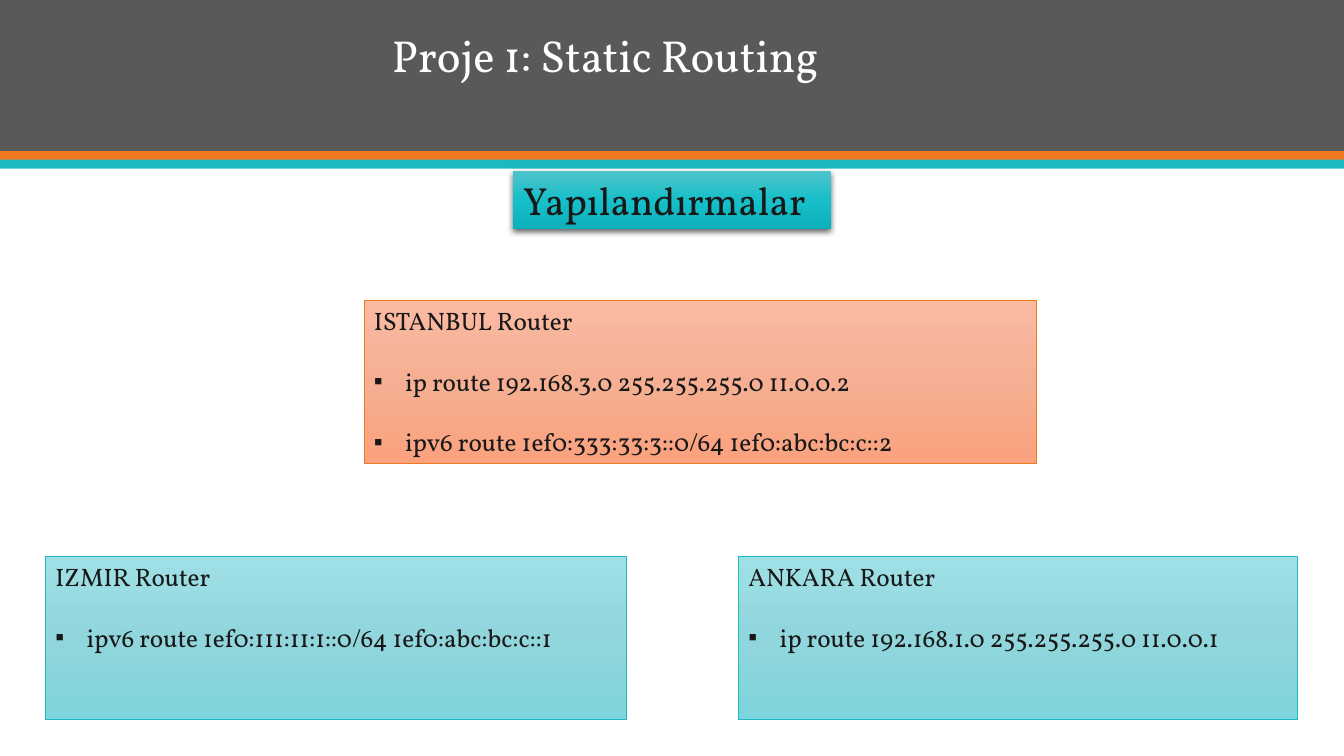
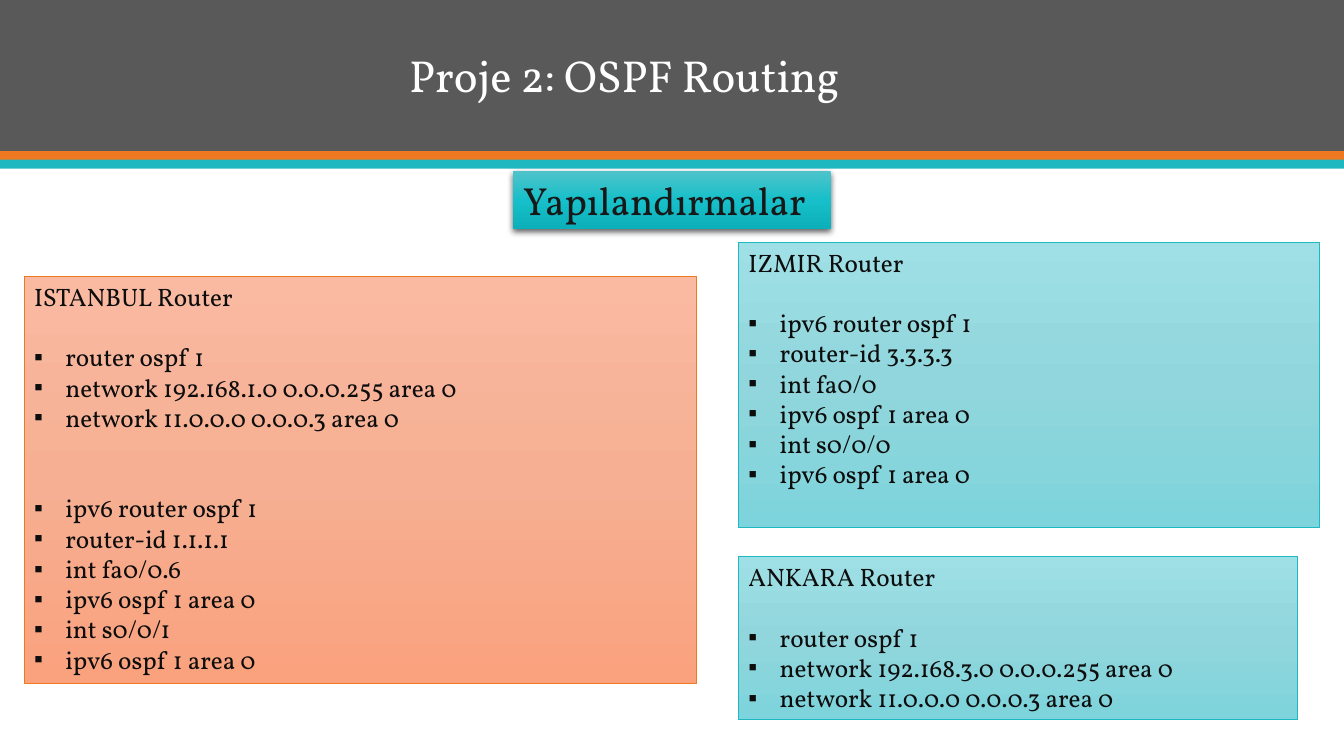
from lxml.etree import SubElement
from pptx import Presentation
from pptx.dml.color import RGBColor
from pptx.enum.shapes import MSO_SHAPE
from pptx.enum.text import MSO_ANCHOR, PP_ALIGN
from pptx.oxml.ns import qn
from pptx.util import Inches, Pt

FONT = "Vollkorn"
WIDTH, HEIGHT = Inches(13.33), Inches(7.5)
LINE_PITCH = 21.6
INDENT = Inches(0.31)

COLORS = {
    "header": "595959",
    "orange": "EF7920",
    "teal": "1EB8C1",
    "white": "FFFFFF",
    "ink": "181818",
    "dark": "0D0D0D",
    "shadow": "000000",
}
GRADIENTS = {
    "tag": ("4EC3CB", "16BFC9", "0CB0BA"),
    "teal": ("9EE0E6", "91D6DC", "7DD4DC"),
    "orange": ("F9BAA1", "F6AF93", "FAA27E"),
}
BANDS = [("header", 0, 20), ("orange", 20, 1.2), ("teal", 21.1, 1.2)]

ISTANBUL_WIDTH, IZMIR_WIDTH, ANKARA_WIDTH = 50, 43.2, 41.6
RIGHT_COL, BOTTOM_ROW, LOW = 54.95, 73.6, 21.6

OSPF_V6 = "ipv6 ospf 1 area 0"
OSPF_LINK = "network 11.0.0.0 0.0.0.3 area 0"

SLIDES = [
    {
        "title": ("Proje 1: Static Routing", 28.43, 11.47),
        "text": "ink",
        "panels": [
            ("ANKARA Router", "teal", (RIGHT_COL, BOTTOM_ROW, ANKARA_WIDTH, LOW),
             [(1, ["ip route 192.168.1.0 255.255.255.0 11.0.0.1"])]),
            ("ISTANBUL Router", "orange", (27.08, 39.73, ISTANBUL_WIDTH, LOW),
             [(1, ["ip route 192.168.3.0 255.255.255.0 11.0.0.2"]),
              (1, ["ipv6 route 1ef0:333:33:3::0/64 1ef0:abc:bc:c::2"])]),
            ("IZMIR Router", "teal", (3.38, BOTTOM_ROW, IZMIR_WIDTH, LOW),
             [(1, ["ipv6 route 1ef0:111:11:1::0/64 1ef0:abc:bc:c::1"])]),
        ],
    },
    {
        "title": ("Proje 2: OSPF Routing", 29.7, 14.13),
        "text": "dark",
        "panels": [
            ("ANKARA Router", "teal", (RIGHT_COL, BOTTOM_ROW, ANKARA_WIDTH, LOW),
             [(1, ["router ospf 1", "network 192.168.3.0 0.0.0.255 area 0", OSPF_LINK])]),
            ("ISTANBUL Router", "orange", (1.8, 36.53, ISTANBUL_WIDTH, 53.87),
             [(1, ["router ospf 1", "network 192.168.1.0 0.0.0.255 area 0", OSPF_LINK]),
              (2, ["ipv6 router ospf 1", "router-id 1.1.1.1", "int fa0/0.6", OSPF_V6,
                   "int s0/0/1", OSPF_V6])]),
            ("IZMIR Router", "teal", (RIGHT_COL, 32, IZMIR_WIDTH, 37.73),
             [(1, ["ipv6 router ospf 1", "router-id 3.3.3.3", "int fa0/0", OSPF_V6,
                   "int s0/0/0", OSPF_V6])]),
        ],
    },
]


def rgb(name):
    return RGBColor.from_string(COLORS[name])


def place(x, y, w, h):
    return [int(size * share / 100) for size, share in
            ((WIDTH, x), (HEIGHT, y), (WIDTH, w), (HEIGHT, h))]


def add_rect(slide, area):
    sp = slide.shapes.add_shape(MSO_SHAPE.RECTANGLE, *place(*area))
    sp.shadow.inherit = False
    sp.line.fill.background()
    tf = sp.text_frame
    tf.word_wrap = True
    tf.vertical_anchor = MSO_ANCHOR.TOP
    return sp


def fill_gradient(sp, name):
    sp.fill.gradient()
    sp.fill.gradient_angle = 270
    stops = sp._element.spPr.find(".//" + qn("a:gsLst"))
    stops.clear()
    for i, color in enumerate(GRADIENTS[name]):
        stop = SubElement(stops, qn("a:gs"), pos=str(i * 50000))
        SubElement(stop, qn("a:srgbClr"), val=color)


def add_shadow(sp):
    effects = sp._element.spPr.find(qn("a:effectLst"))
    outer = SubElement(effects, qn("a:outerShdw"), blurRad=str(Pt(4.5)),
                       dist=str(Pt(1.5)), dir="5400000", rotWithShape="0")
    color = SubElement(outer, qn("a:srgbClr"), val=COLORS["shadow"])
    SubElement(color, qn("a:alpha"), val="63000")


def write(p, text, size, color):
    p.text = text
    p.alignment = PP_ALIGN.LEFT
    font = p.runs[0].font
    font.name, font.size, font.color.rgb = FONT, Pt(size), rgb(color)


def add_bullet(p):
    props = p._p.get_or_add_pPr()
    props.set("marL", str(INDENT))
    props.set("indent", str(-INDENT))
    SubElement(props, qn("a:buFont"), typeface="Arial")
    SubElement(props, qn("a:buChar"), char="▪")


def add_bands(slide):
    for color, y, h in BANDS:
        sp = add_rect(slide, (0, y, 100, h))
        sp.fill.solid()
        sp.fill.fore_color.rgb = rgb(color)


def add_title(slide, text, x, bottom):
    tf = slide.shapes.add_textbox(*place(x, 0, 100 - x, bottom)).text_frame
    tf.word_wrap = True
    tf.vertical_anchor = MSO_ANCHOR.BOTTOM
    p = tf.paragraphs[0]
    write(p, text, 32, "white")
    p.line_spacing = 0.9


def add_tag(slide, text):
    sp = add_rect(slide, (38.17, 22.67, 23.63, 7.6))
    fill_gradient(sp, "tag")
    add_shadow(sp)
    write(sp.text_frame.paragraphs[0], text, 28, "ink")


def add_panel(slide, heading, color, area, groups, text_color):
    sp = add_rect(slide, area)
    fill_gradient(sp, color)
    sp.line.color.rgb = rgb(color)
    sp.line.width = Pt(0.5)
    tf = sp.text_frame
    write(tf.paragraphs[0], heading, 18, text_color)
    for gap, commands in groups:
        for i, command in enumerate(commands):
            p = tf.add_paragraph()
            write(p, command, 18, text_color)
            p.space_before = Pt(0 if i else gap * LINE_PITCH)
            add_bullet(p)


def main():
    prs = Presentation()
    prs.slide_width, prs.slide_height = WIDTH, HEIGHT
    for content in SLIDES:
        s = prs.slides.add_slide(prs.slide_layouts[6])
        add_bands(s)
        add_title(s, *content["title"])
        add_tag(s, "Yapılandırmalar")
        for panel in content["panels"]:
            add_panel(s, *panel, content["text"])
    prs.save("out.pptx")


main()
